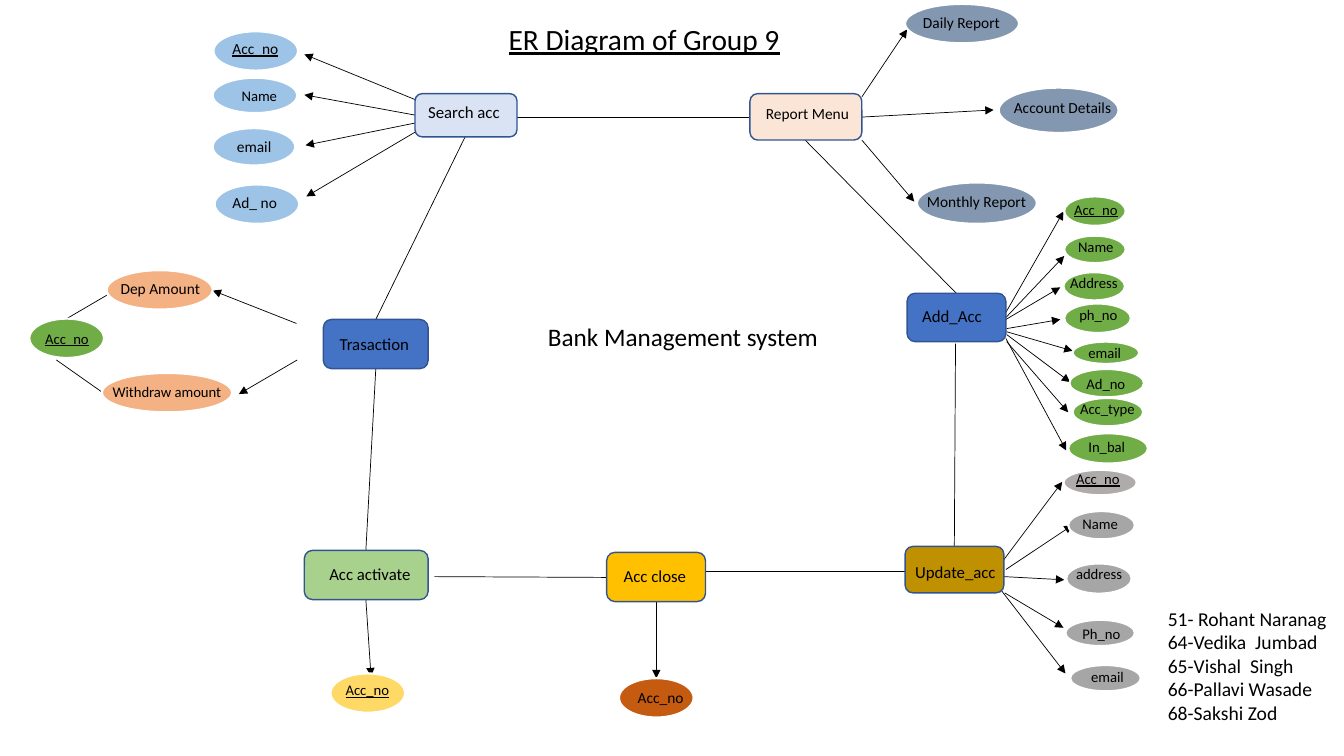
from lxml.etree import SubElement
from pptx import Presentation
from pptx.dml.color import RGBColor
from pptx.enum.shapes import MSO_CONNECTOR, MSO_SHAPE
from pptx.oxml.ns import qn
from pptx.util import Cm, Pt

COLOURS = {
    "black": "000000", "white": "FFFFFF", "outline": "325491",
    "green": "70AD47", "orange": "F4B183", "warm grey": "AFABAB",
    "grey": "A6A6A6", "yellow": "FFD966", "rust": "C55A11",
    "sky": "9DC3E6", "slate": "8497B0", "pale blue": "DAE3F3",
    "peach": "FBE5D6", "blue": "4472C4", "light green": "A9D18E",
    "amber": "FFC000", "ochre": "BF9000",
}

KEY = {"size": 10.5, "underline": True}
SMALL = {"size": 10.5}
MEDIUM = {"size": 11}
LARGE = {"size": 12}

# Each node holds its text, outline box, label place (left, top, width) and format.
ATTRIBUTES = {
    "green": [
        ("Acc_no", (26.82, 4.95, 1.55, 0.74), (26.82, 4.93, 4.42), KEY),
        ("Name", (26.82, 5.94, 1.55, 0.69), (26.92, 5.87, 2.46), SMALL),
        ("Address", (26.8, 6.86, 1.55, 0.71), (26.72, 6.78, 3.3), SMALL),
        ("ph_no", (26.82, 7.65, 1.68, 0.74), (26.95, 7.59, 5.05), SMALL),
        ("email", (27.03, 8.61, 1.68, 0.56), (27.18, 8.53, 4.42), SMALL),
        ("Ad_no", (26.95, 9.3, 1.88, 0.71), (27.13, 9.32, 4.42), SMALL),
        ("Acc_type", (27.03, 10.03, 1.78, 0.71), (26.97, 9.96, 4.42), SMALL),
        ("In_bal", (26.92, 10.92, 2.01, 0.76), (27.18, 10.92, 4.42), SMALL),
        ("Acc_no", (0.74, 8.03, 1.88, 0.99), (0.89, 8.18, 2.26), KEY),
    ],
    "orange": [
        ("Dep Amount", (2.69, 6.81, 2.67, 0.99), (2.79, 6.91, 5.28), MEDIUM),
        ("Withdraw amount", (2.57, 9.4, 3.28, 0.99), (2.59, 9.53, 3.61), SMALL),
    ],
    "warm grey": [
        ("Acc_no", (26.8, 11.84, 1.85, 0.64), (26.87, 11.71, 3.66), KEY),
    ],
    "grey": [
        ("Name", (26.92, 12.88, 1.68, 0.71), (27.03, 12.85, 1.75), SMALL),
        ("address", (26.87, 14.2, 1.65, 0.76), (26.87, 14.1, 2.01), SMALL),
        ("Ph_no", (26.85, 15.62, 1.75, 0.66), (27.03, 15.62, 3.66), SMALL),
        ("email", (26.97, 16.76, 1.78, 0.66), (27.25, 16.71, 2.44), SMALL),
    ],
    "yellow": [
        ("Acc_no", (8.33, 16.97, 1.88, 0.99), (8.46, 17.04, 1.75), KEY),
    ],
    "rust": [
        ("Acc_no", (15.6, 17.09, 1.88, 0.99), (15.82, 17.22, 2.77), MEDIUM),
    ],
    "sky": [
        ("Acc_no", (5.38, 0.79, 2.13, 0.99), (5.61, 0.86, 3), KEY | MEDIUM),
        ("Name", (5.36, 1.96, 2.13, 0.89), (5.84, 2.06, 2.57), SMALL),
        ("email", (5.36, 3.23, 2.08, 0.94), (5.72, 3.33, 3.2), MEDIUM),
        ("Ad_ no", (5.41, 4.65, 2.13, 0.99), (5.61, 4.75, 2.82), MEDIUM),
    ],
    "slate": [
        ("Daily Report", (22.81, 0.1, 2.87, 0.99), (23.01, 0.2, 4.7), MEDIUM),
        ("Account Details", (25.17, 2.21, 3.02, 1.14), (25.3, 2.36, 5.23), MEDIUM),
        ("Monthly Report", (23.11, 4.6, 3.02, 1.04), (23.11, 4.72, 4.9), MEDIUM),
    ],
}

ENTITIES = {
    "pale blue": [("Search acc", (10.46, 2.36, 2.57, 1.09), (10.54, 2.44, 3.56), LARGE)],
    "peach": [("Report Menu", (18.9, 2.36, 2.82, 1.17), (19.05, 2.51, 4.22), MEDIUM)],
    "blue": [
        ("Trasaction", (8.15, 8.05, 2.64, 1.24), (8.31, 8.28, 4.8), LARGE),
        ("Add_Acc", (22.86, 7.39, 2.49, 1.22), (22.99, 7.59, 3.61), LARGE),
    ],
    "light green": [("Acc activate", (7.67, 13.87, 3.12, 1.24), (8.05, 14.07, 3.61), LARGE)],
    "amber": [("Acc close", (15.29, 13.92, 2.49, 1.24), (15.47, 14.12, 3.05), LARGE)],
    "ochre": [("Update_acc", (22.81, 13.77, 2.49, 1.17), (22.81, 14.02, 4.42), LARGE)],
}

ARROWS = {
    "Add_Acc": [
        (25.35, 7.87, 26.8, 5.33), (25.35, 8, 26.82, 6.45),
        (25.35, 8.05, 26.72, 7.24), (25.37, 8.28, 26.72, 8.05),
        (25.37, 8.36, 27.03, 8.84), (25.37, 8.43, 26.97, 9.63),
        (25.37, 8.61, 26.92, 10.39), (25.35, 8.53, 26.87, 11.35),
    ],
    "Update_acc": [
        (25.3, 14.1, 26.77, 12.14), (25.35, 14.35, 27.03, 13.23),
        (25.3, 14.53, 26.82, 14.61), (25.32, 14.94, 26.8, 15.82),
        (25.22, 14.86, 26.85, 16.97),
    ],
    "Trasaction": [(7.49, 9.07, 6.02, 9.93), (7.47, 8.15, 5.36, 7.32)],
    "Report Menu": [
        (21.72, 2.44, 22.86, 0.74), (21.72, 2.95, 25.04, 2.77),
        (21.72, 3.53, 23.04, 5.08),
    ],
    "Search acc": [
        (10.46, 2.51, 7.67, 1.37), (10.46, 2.9, 7.67, 2.39),
        (10.46, 3.1, 7.7, 3.66), (10.46, 3.33, 7.72, 4.95),
    ],
    "Acc activate": [(9.22, 15.11, 9.35, 17.04)],
    "Acc close": [(16.54, 15.16, 16.54, 17.09)],
}

RELATIONS = [
    (24.08, 8.66, 24.05, 13.77), (17.75, 14.4, 22.81, 14.4),
    (15.29, 14.55, 10.95, 14.53), (13.03, 2.95, 18.9, 2.95),
    (1.42, 9.07, 2.57, 9.88), (2.69, 7.44, 1.68, 8.03),
    (9.47, 9.3, 9.22, 13.87), (9.47, 8.05, 11.73, 3.43),
    (20.29, 3.53, 24.1, 7.39),
]

MEMBERS = [
    "51- Rohant Naranag", "64-Vedika  Jumbad", "65-Vishal  Singh",
    "66-Pallavi Wasade", "68-Sakshi Zod",
]


def colour(name):
    """Return the named colour."""
    return RGBColor.from_string(COLOURS[name])


def add_text(slide, lines, box, size, underline=None):
    """Add a text box with one paragraph per line."""
    frame = slide.shapes.add_textbox(*map(Cm, box)).text_frame
    frame.word_wrap = True
    frame.text = "\n".join(lines)
    font_format = {"name": "Calibri", "size": Pt(size), "underline": underline}
    for paragraph in frame.paragraphs:
        font = paragraph.runs[0].font
        font.color.rgb = colour("black")
        for attribute, value in font_format.items():
            setattr(font, attribute, value)


def add_nodes(slide, groups, preset, line_colour, line_width):
    """Add labelled shapes grouped by fill colour."""
    for fill, nodes in groups.items():
        for text, box, label_place, label_format in nodes:
            shape = slide.shapes.add_shape(preset, *map(Cm, box))
            shape.shadow.inherit = False
            shape.fill.solid()
            shape.fill.fore_color.rgb = colour(fill)
            shape.line.color.rgb = colour(line_colour)
            shape.line.width = Pt(line_width)
            add_text(slide, [text], (*label_place, 0.74), **label_format)


def add_link(slide, ends, arrow=False):
    """Add a thin straight line, with an arrowhead at its end if asked."""
    connector = slide.shapes.add_connector(MSO_CONNECTOR.STRAIGHT, *map(Cm, ends))
    connector.line.color.rgb = colour("black")
    connector.line.width = Pt(0.5)
    if arrow:
        SubElement(connector.line._get_or_add_ln(), qn("a:tailEnd"), type="triangle")
    SubElement(connector._element.spPr, qn("a:effectLst"))


def main():
    """Build and save the bank ER diagram."""
    presentation = Presentation()
    presentation.slide_width, presentation.slide_height = Cm(33.87), Cm(19.05)
    slide = presentation.slides.add_slide(presentation.slide_layouts[6])
    for ends in RELATIONS:
        add_link(slide, ends)
    for arrows in ARROWS.values():
        for ends in arrows:
            add_link(slide, ends, arrow=True)
    add_nodes(slide, ATTRIBUTES, MSO_SHAPE.OVAL, "white", 1.5)
    add_nodes(slide, ENTITIES, MSO_SHAPE.ROUNDED_RECTANGLE, "outline", 1)
    add_text(slide, ["ER Diagram of Group 9"], (12.57, 0.41, 7.59, 1.14), 21, True)
    add_text(slide, ["Bank Management system"], (13.56, 7.98, 8.66, 1.02), 18)
    add_text(slide, MEMBERS, (29.18, 15.16, 6.15, 3.25), 14)
    presentation.save("out.pptx")


main()
